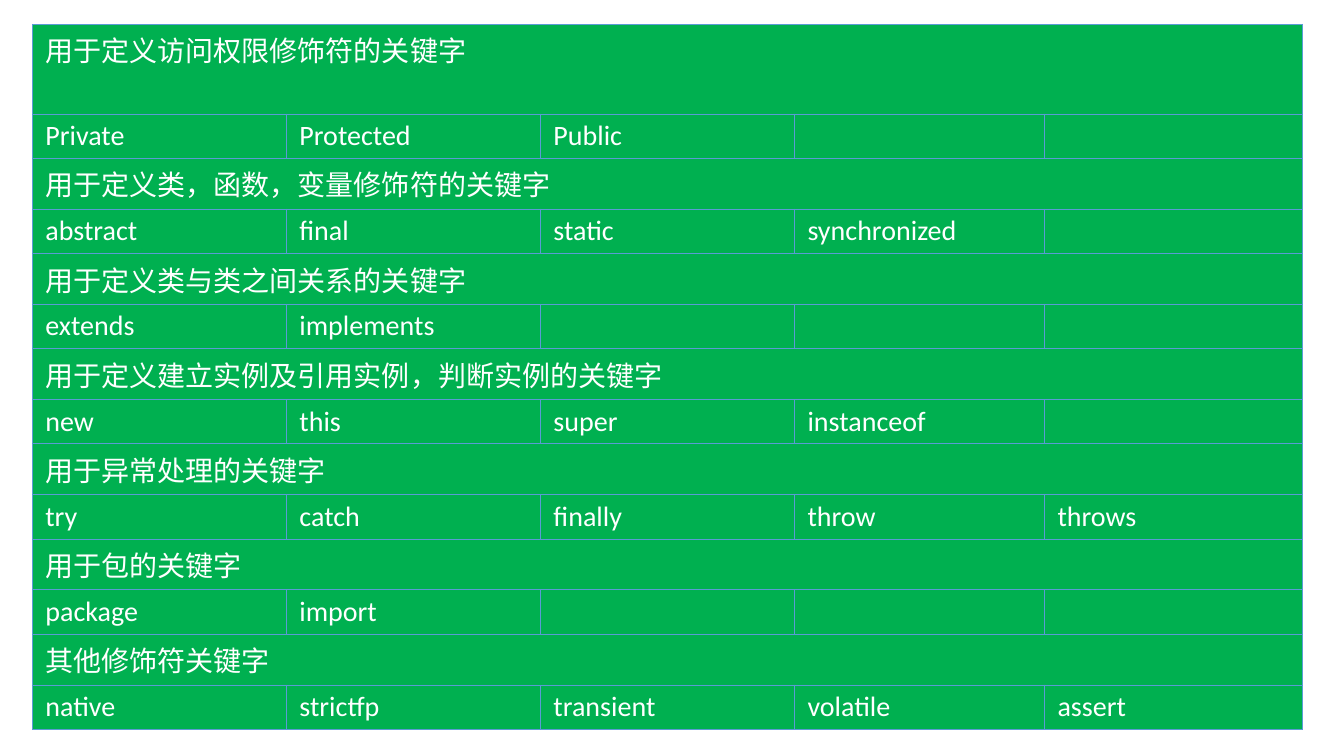
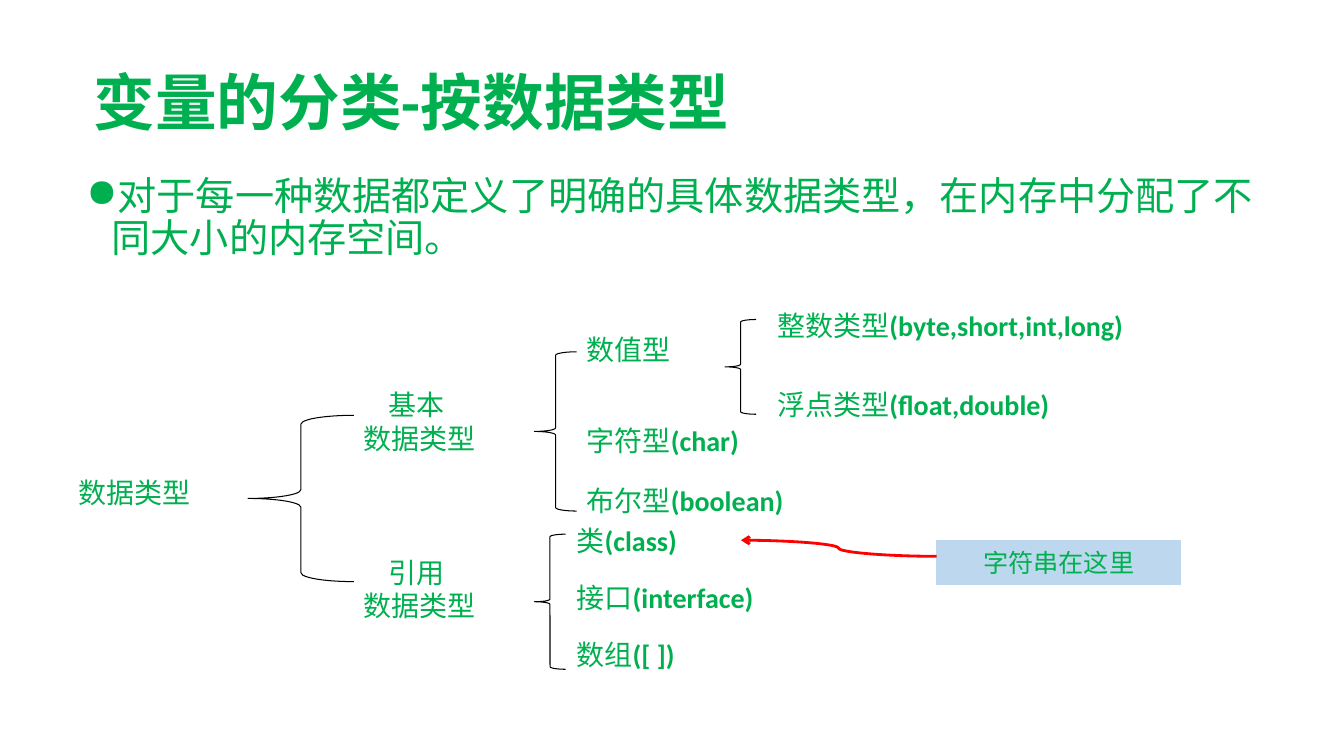
import pptx
import pptx.util
import pptx.dml.color
import pptx.enum.shapes
import pptx.enum.text
import pptx.oxml.ns
from lxml import etree

Inches, Pt = pptx.util.Inches, pptx.util.Pt
RGB = pptx.dml.color.RGBColor.from_string
SHAPE = pptx.enum.shapes.MSO_SHAPE
ANCHOR = pptx.enum.text.MSO_ANCHOR
qn = pptx.oxml.ns.qn
FONT = "Calibri"
COLORS = {"green": "00B050", "white": "FFFFFF", "border": "5B9BD5",
          "note": "BDD7EE", "black": "000000", "red": "FF0000"}

prs = pptx.Presentation()
prs.slide_width, prs.slide_height = Inches(13.33), Inches(7.5)
blank = prs.slide_layouts[6]


def style(r, size, color, bold=False):
    r.font.name, r.font.size, r.font.bold = FONT, Pt(size), bold
    r.font.color.rgb = RGB(COLORS[color])


def add_text(s, box, lines, size=20, bold=False):
    """Each line is a tuple: plain text, then optional bold text."""
    tf = s.shapes.add_textbox(*[Inches(v) for v in box]).text_frame
    tf.word_wrap = True
    for i, parts in enumerate(lines):
        p = tf.add_paragraph() if i else tf.paragraphs[0]
        for j, text in enumerate(parts):
            r = p.add_run()
            r.text = text
            style(r, size, "green", bold or j > 0)
            etree.SubElement(r.font._element, qn("a:ea")).set("typeface", FONT)
    return tf


# Slide 1: keyword table, a heading row above each row of keywords
groups = [
    ("用于定义访问权限修饰符的关键字", "Private Protected Public"),
    ("用于定义类，函数，变量修饰符的关键字", "abstract final static synchronized"),
    ("用于定义类与类之间关系的关键字", "extends implements"),
    ("用于定义建立实例及引用实例，判断实例的关键字", "new this super instanceof"),
    ("用于异常处理的关键字", "try catch finally throw throws"),
    ("用于包的关键字", "package import"),
    ("其他修饰符关键字", "native strictfp transient volatile assert"),
]
widths = [2.52, 2.52, 2.52, 2.48, 2.56]
heights = [0.89, 0.44] + [0.5, 0.44] * (len(groups) - 1)
s = prs.slides.add_slide(blank)
table = s.shapes.add_table(len(heights), len(widths), Inches(0.32), Inches(0.24),
                           Inches(sum(widths)), Inches(sum(heights))).table
table.first_row = table.horz_banding = False
for column, width in zip(table.columns, widths):
    column.width = Inches(width)
for row, height in zip(table.rows, heights):
    row.height = Inches(height)

rows = [texts for heading, words in groups for texts in ([heading], words.split())]
for i, texts in enumerate(rows):
    for j in range(len(widths)):
        cell = table.cell(i, j)
        cell.margin_left = cell.margin_right = Inches(0.13)
        cell.margin_top = cell.margin_bottom = Inches(0.05)
        if j < len(texts):
            p = cell.text_frame.paragraphs[0]
            p.text = texts[j]
            style(p.runs[0], 20, "white")
            before = etree.SubElement(p._p.get_or_add_pPr(), qn("a:spcBef"))
            etree.SubElement(before, qn("a:spcPct")).set("val", "20000")
        # Borders come before the fill in the cell properties
        tcPr = cell._tc.get_or_add_tcPr()
        for side in ("a:lnL", "a:lnR", "a:lnT", "a:lnB"):
            ln = etree.SubElement(tcPr, qn(side), w=str(Pt(0.5)))
            fill = etree.SubElement(ln, qn("a:solidFill"))
            etree.SubElement(fill, qn("a:srgbClr"), val=COLORS["border"])
        cell.fill.solid()
        cell.fill.fore_color.rgb = RGB(COLORS["green"])
    if i % 2 == 0:
        table.cell(i, 0).merge(table.cell(i, len(widths) - 1))

# Slide 2: title and bullet
s = prs.slides.add_slide(blank)
tf = add_text(s, (0.83, 0.58, 9.18, 0.94), [("变量的分类-按数据类型",)], 44, True)
tf.vertical_anchor = ANCHOR.MIDDLE
tf.paragraphs[0].line_spacing = 0.9
tf = add_text(s, (0.76, 1.7, 12, 1.14),
              [("对于每一种数据都定义了明确的具体数据类型，在内存中分配了不同大小的内存空间。",)], 28)
p = tf.paragraphs[0]
p.line_spacing, p.space_before = 0.9, Pt(10)
pPr = p._p.get_or_add_pPr()
pPr.set("marL", str(Inches(0.25)))
pPr.set("indent", str(Inches(-0.25)))
etree.SubElement(pPr, qn("a:buChar")).set("char", "●")

# Braces of the type tree
for box in [(2.46, 4.12, 1.05, 1.65), (5.3, 3.49, 0.42, 1.58),
            (5.3, 5.3, 0.31, 1.34), (7.19, 3.17, 0.31, 0.94)]:
    brace = s.shapes.add_shape(SHAPE.LEFT_BRACE, *[Inches(v) for v in box])
    brace.shadow.inherit = False
    brace.fill.background()
    brace.line.color.rgb = RGB(COLORS["black"])
    brace.line.width = Pt(0.75)

# Labels of the type tree
for x, y, width, *parts in [
    (0.68, 4.67, 2.1, "数据类型"),
    (5.72, 3.25, 1.89, "数值型"),
    (5.72, 4.15, 2.52, "字符型", "(char)"),
    (5.72, 4.75, 3.25, "布尔型", "(boolean)"),
    (7.61, 3.01, 5.15, "整数类型", "(byte,short,int,long)"),
    (7.61, 3.8, 4.94, "浮点类型", "(float,double)"),
    (5.62, 5.14, 2.52, "类", "(class)"),
    (5.62, 5.71, 3.68, "接口", "(interface)"),
    (5.62, 6.28, 2.52, "数组", "([ ])"),
]:
    add_text(s, (x, y, width, 0.44), [parts])
for y, kind in [(3.8, "基本"), (5.46, "引用")]:
    tf = add_text(s, (3.51, y, 2.94, 0.77), [(kind,), ("数据类型",)])
    tf.paragraphs[0]._p.get_or_add_pPr().set("indent", str(Inches(0.25)))

# Note and its arrow
note = s.shapes.add_shape(SHAPE.RECTANGLE, Inches(9.29), Inches(5.36), Inches(2.42), Inches(0.44))
note.shadow.inherit = False
note.fill.solid()
note.fill.fore_color.rgb = note.line.color.rgb = RGB(COLORS["note"])
note.line.width = Pt(1)
tf = note.text_frame
tf.text = "字符串在这里"
tf.vertical_anchor = ANCHOR.MIDDLE
tf.paragraphs[0].alignment = pptx.enum.text.PP_ALIGN.CENTER
style(tf.paragraphs[0].runs[0], 18, "green")

arrow = s.shapes.add_connector(pptx.enum.shapes.MSO_CONNECTOR.CURVE, Inches(9.29), Inches(5.52),
                               Inches(7.35), Inches(5.36))
arrow.line.color.rgb = RGB(COLORS["red"])
arrow.line.width = Pt(2)
etree.SubElement(arrow.line._get_or_add_ln(), qn("a:tailEnd")).set("type", "arrow")
etree.SubElement(arrow._element.spPr, qn("a:effectLst"))

prs.save("out.pptx")
